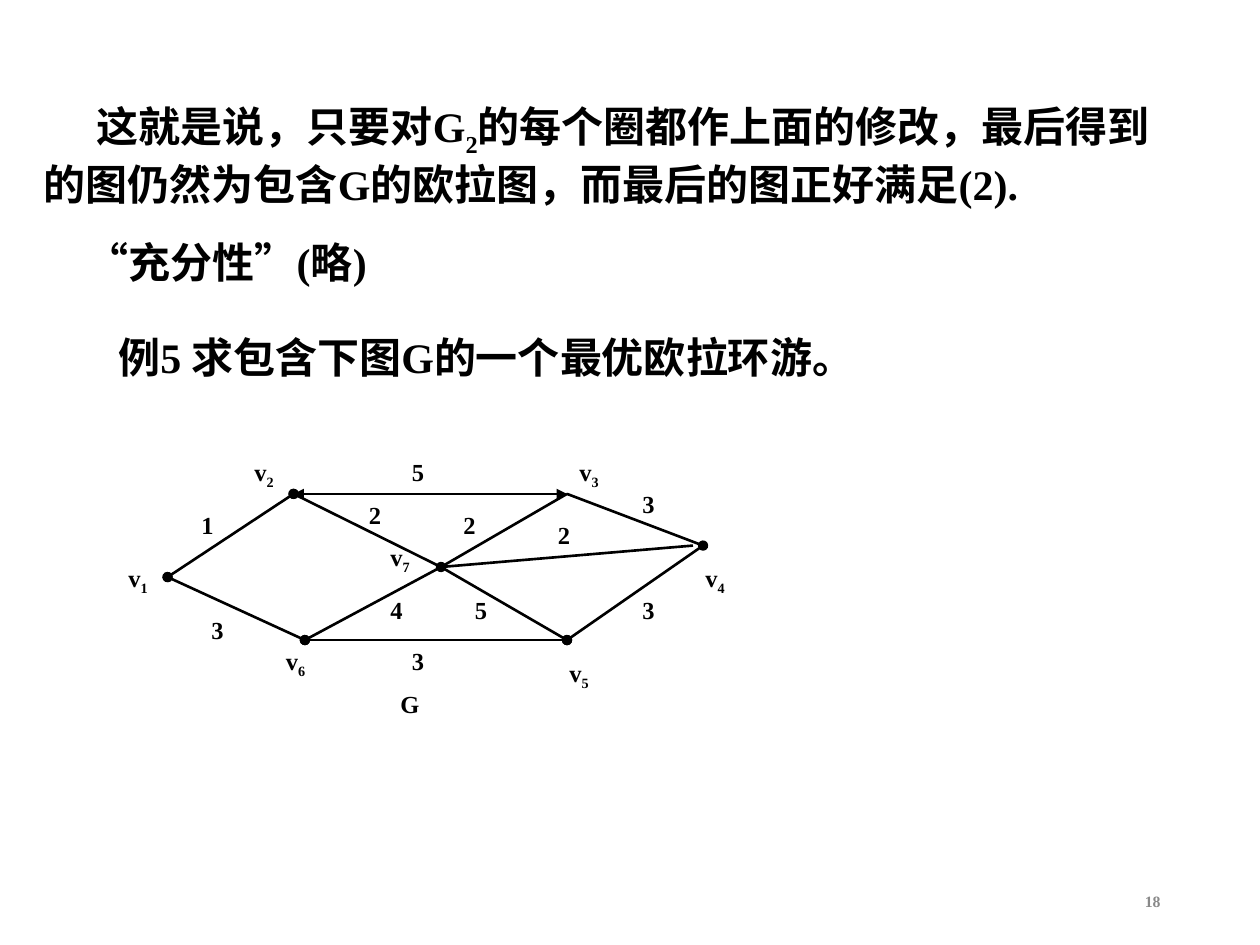
from lxml import etree
from pptx import Presentation
from pptx.dml.color import RGBColor
from pptx.enum import shapes, text
from pptx.oxml.ns import qn
from pptx.util import Inches, Pt

FONT = "Times New Roman"
INK = "000000"
GRAY = "898989"

NODES = {
    "v1": (1.33, 4.58), "v2": (2.33, 3.92), "v3": (4.5, 3.92),
    "v4": (5.58, 4.33), "v5": (4.5, 5.08), "v6": (2.42, 5.08),
    "v7": (3.5, 4.5), "near v4": (5.5, 4.33),
}
EDGES = [
    ("v2", "v3", "triangle"), ("v2", "v1", "oval"), ("v1", "v6", "oval"),
    ("v6", "v5", "oval"), ("v3", "v4", None), ("v5", "v4", "oval"),
    ("v2", "v7", "oval"), ("v3", "v7", None), ("v7", "v6", None),
    ("v7", "v5", None), ("v7", "near v4", None),
]
NAMES = [
    ("v_1", 0.92, 4.42), ("v_2", 1.92, 3.58), ("v_3", 4.5, 3.58),
    ("v_4", 5.5, 4.42), ("v_5", 4.42, 5.17), ("v_6", 2.17, 5.08),
    ("v_7", 3, 4.25),
]
COSTS = [
    ("1", 1.5, 4), ("3", 1.58, 4.83), ("2", 3.58, 4), ("2", 2.83, 3.92),
    ("5", 3.17, 3.58), ("2", 4.33, 4.08), ("3", 5, 3.83), ("3", 5, 4.67),
    ("3", 3.17, 5.08), ("5", 3.67, 4.67), ("4", 3, 4.67), ("G", 3.08, 5.42),
]


def color(code):
    return RGBColor.from_string(code)


def add_text(home, words, x, y, w, h, size, ink=INK):
    box = home.add_textbox(Inches(x), Inches(y), Inches(w), Inches(h))
    frame = box.text_frame
    frame.word_wrap = True
    frame.auto_size = text.MSO_AUTO_SIZE.SHAPE_TO_FIT_TEXT
    para = frame.paragraphs[0]
    for i, part in enumerate(words.split("_")):
        run = para.add_run()
        run.text = part
        font = run.font
        font.name, font.size, font.bold = FONT, Pt(size), True
        font.color.rgb = color(ink)
        if i % 2:
            font._element.set("baseline", "-25000")
    return box


def add_line(home, words, x, y, w, h, tab=None):
    box = add_text(home, words, x, y, w, h, 24)
    props = box.text_frame.paragraphs[0]._p.get_or_add_pPr()
    props.set("marL", "0")
    props.set("indent", str(Inches(0.42)))
    if tab:
        stops = etree.SubElement(props, qn("a:tabLst"))
        etree.SubElement(stops, qn("a:tab"), pos=str(Inches(tab)), algn="l")


def add_edge(home, start, end, tip):
    x1, y1 = NODES[start]
    x2, y2 = NODES[end]
    edge = home.add_connector(shapes.MSO_CONNECTOR.STRAIGHT,
                              Inches(x1), Inches(y1), Inches(x2), Inches(y2))
    edge.line.width = Pt(1.5)
    edge.line.color.rgb = color(INK)
    if tip:
        line = edge.line._get_or_add_ln()
        for tag in ("a:headEnd", "a:tailEnd"):
            etree.SubElement(line, qn(tag), type=tip)
    etree.SubElement(edge._element.spPr, qn("a:effectLst"))


def add_graph(home):
    group = home.add_group_shape().shapes
    for start, end, tip in EDGES:
        add_edge(group, start, end, tip)
    for labels, high in ((NAMES, 0.37), (COSTS, 0.34)):
        for words, x, y in labels:
            add_text(group, words, x, y, 0.47, high, 14)


def add_page(home):
    box = add_text(home, "18", 7.06, 6.95, 2.25, 0.4, 9, GRAY)
    frame = box.text_frame
    frame.auto_size = text.MSO_AUTO_SIZE.NONE
    frame.vertical_anchor = text.MSO_ANCHOR.MIDDLE
    frame.paragraphs[0].alignment = text.PP_ALIGN.RIGHT


def main():
    deck = Presentation()
    deck.slide_width, deck.slide_height = Inches(10), Inches(7.5)
    home = deck.slides.add_slide(deck.slide_layouts[6]).shapes
    add_page(home)
    add_line(home, "这就是说，只要对G_2_的每个圈都作上面的修改，最后得到的图仍然为包含G的欧拉图，而最后的图正好满足(2).",
             0.25, 0.75, 9.08, 0.96)
    add_line(home, "“充分性”(略)", 0.17, 1.83, 8.75, 0.5)
    add_line(home, "例5\t求包含下图G的一个最优欧拉环游。",
             0.42, 2.58, 8.75, 0.5, tab=1.19)
    add_graph(home)
    deck.save("out.pptx")


if __name__ == "__main__":
    main()
